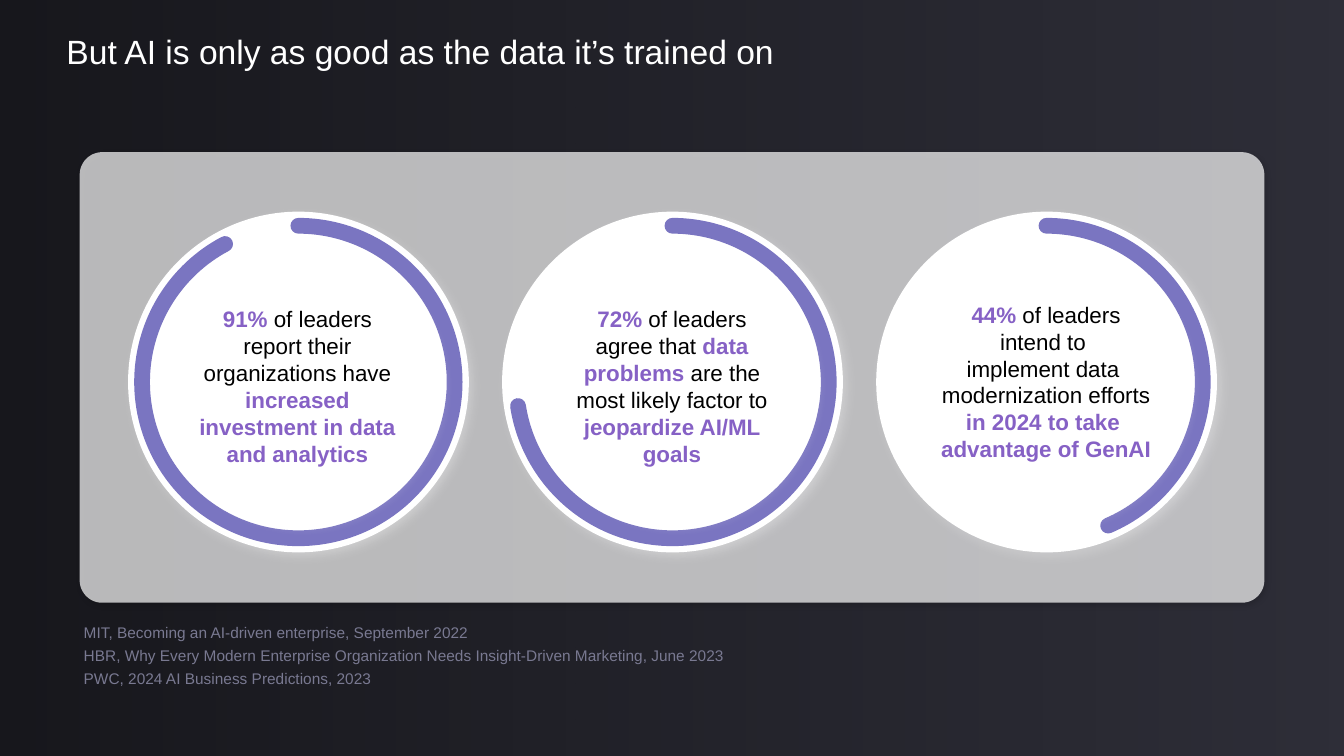
"""Builds a slide with three ringed statistics about data and AI."""
import pptx
import pptx.util
import pptx.oxml
import pptx.oxml.ns
import pptx.dml.color
import pptx.enum.shapes
import pptx.enum.text

TITLE = "But AI is only as good as the data it’s trained on"
STATS = [
    {"sweep": 145.23, "box": (1.8, 2.97, 2.3, 1.72), "text": [
        [("hot", "91% "), ("ink", "of leaders report their organizations have "),
         ("hot", "increased investment in data and analytics")]]},
    {"sweep": 102.7, "box": (5.57, 2.97, 2.19, 1.72), "text": [
        [("hot", "72% "), ("ink", "of leaders agree that "), ("hot", "data problems "),
         ("ink", "are the most likely factor to "), ("hot", "jeopardize AI/ML goals")]]},
    {"sweep": 40.06, "box": (9.22, 2.79, 2.31, 1.99), "text": [
        [("hot", "44% "), ("ink", "of leaders intend to \nimplement data ")],
        [("ink", "modernization efforts ")],
        [("hot", "in 2024 to take ")],
        [("hot", "advantage of GenAI")]]},
]
NOTES = [
    "MIT, Becoming an AI-driven enterprise, September 2022",
    "HBR, Why Every Modern Enterprise Organization Needs Insight-Driven Marketing, June 2023",
    "PWC, 2024 AI Business Predictions, 2023",
]
COLORS = {"back": "2E2E38", "black": "000000", "white": "FFFFFF", "ring": "7A75C1",
          "hot": "8661C5", "ink": "000000", "note": "797991"}
FORMATS = {
    "title": {"size": pptx.util.Pt(24), "name": "Arial", "bold": False},
    "hot": {"size": pptx.util.Pt(16), "name": "Arial", "bold": True},
    "ink": {"size": pptx.util.Pt(16), "name": "Arial", "bold": False},
    "note": {"size": pptx.util.Pt(11), "name": "Arial", "bold": False},
}
WIDE, HIGH = 13.33, 7.5
LEFT, STEP, MIDDLE = 2.96, 3.71, 3.79
DISC, RING, CORE = 3.38, 3.1, 2.79
SHAPE = pptx.enum.shapes.MSO_SHAPE
ANCHOR = pptx.enum.text.MSO_ANCHOR
ALIGN = pptx.enum.text.PP_ALIGN
qn = pptx.oxml.ns.qn


def tint(name):
    return pptx.dml.color.RGBColor.from_string(COLORS[name])


def inches(box):
    return [pptx.util.Inches(n) for n in box]


def fade(color, part):
    alpha = color.makeelement(qn("a:alpha"), {"val": str(part * 1000)})
    color.append(alpha)


def shade(shape, name, blur, dist):
    shape.shadow.inherit = False
    glow = pptx.oxml.parse_xml(
        f'<a:outerShdw {pptx.oxml.ns.nsdecls("a")} blurRad="{blur * 12700}" '
        f'dist="{dist * 12700}" dir="2700000" algn="tl" rotWithShape="0">'
        f'<a:srgbClr val="{COLORS[name]}"><a:alpha val="20000"/></a:srgbClr></a:outerShdw>')
    shape._element.spPr.find(qn("a:effectLst")).append(glow)


def draw(shapes, kind, box, fill=None):
    shape = shapes.add_shape(kind, *inches(box))
    shape.shadow.inherit = False
    shape.line.fill.background()
    if fill:
        shape.fill.solid()
        shape.fill.fore_color.rgb = tint(fill)
    else:
        shape.fill.background()
    return shape


def write(slide, box, paras, anchor, align, inset=True, after=0):
    frame = slide.shapes.add_textbox(*inches(box)).text_frame
    frame.word_wrap = True
    frame.vertical_anchor = anchor
    if not inset:
        for side in ("left", "right", "top", "bottom"):
            setattr(frame, f"margin_{side}", 0)
    for i, runs in enumerate(paras):
        para = frame.add_paragraph() if i else frame.paragraphs[0]
        para.alignment = align
        para.space_after = pptx.util.Pt(after)
        for kind, text in runs:
            for j, line in enumerate(text.split("\n")):
                if j:
                    para.add_line_break()
                run = para.add_run()
                run.text = line
                for key, value in FORMATS[kind].items():
                    setattr(run.font, key, value)
                run.font.color.rgb = tint("white" if kind == "title" else kind)


def veil(slide):
    fill = draw(slide.shapes, SHAPE.RECTANGLE, (0, 0, WIDE, HIGH)).fill
    fill.gradient()
    fill.gradient_angle = 180
    for stop, place, part in zip(fill.gradient_stops, (0, 1), (0, 50)):
        stop.position = place
        stop.color.rgb = tint("black")
        fade(stop._gs[0], part)


def dial(slide, mid, sweep):
    group = slide.shapes.add_group_shape().shapes
    for size, kind, fill in ((DISC, SHAPE.OVAL, "white"), (RING, SHAPE.ARC, None),
                             (CORE, SHAPE.OVAL, "white")):
        box = (mid - size / 2, MIDDLE - size / 2, size, size)
        shape = draw(group, kind, box, fill)
        shade(shape, "white", 8, 4)
        if kind == SHAPE.ARC:
            shape.adjustments[0] = 162
            shape.adjustments[1] = sweep
            shape.line.color.rgb = tint("ring")
            shape.line.width = pptx.util.Pt(11.25)
            shape.line._get_or_add_ln().set("cap", "rnd")


def main():
    deck = pptx.Presentation()
    deck.slide_width, deck.slide_height = inches((WIDE, HIGH))
    slide = deck.slides.add_slide(deck.slide_layouts[6])
    slide.background.fill.solid()
    slide.background.fill.fore_color.rgb = tint("back")
    veil(slide)
    write(slide, (0.66, 0.31, 11.23, 0.4), [[("title", TITLE)]],
          ANCHOR.TOP, ALIGN.LEFT, inset=False)
    panel = draw(slide.shapes, SHAPE.ROUNDED_RECTANGLE, (0.79, 1.51, 11.75, 4.47), "white")
    panel.adjustments[0] = 0.05
    fade(panel._element.spPr.find(qn("a:solidFill"))[0], 70)
    shade(panel, "black", 4, 3)
    for i, stat in enumerate(STATS):
        dial(slide, LEFT + i * STEP, stat["sweep"])
        write(slide, stat["box"], stat["text"], ANCHOR.MIDDLE, ALIGN.CENTER)
    write(slide, (0.83, 6.18, 8.11, 0.64), [[("note", note)] for note in NOTES],
          ANCHOR.BOTTOM, ALIGN.LEFT, inset=False, after=3)
    deck.save("out.pptx")


if __name__ == "__main__":
    main()
